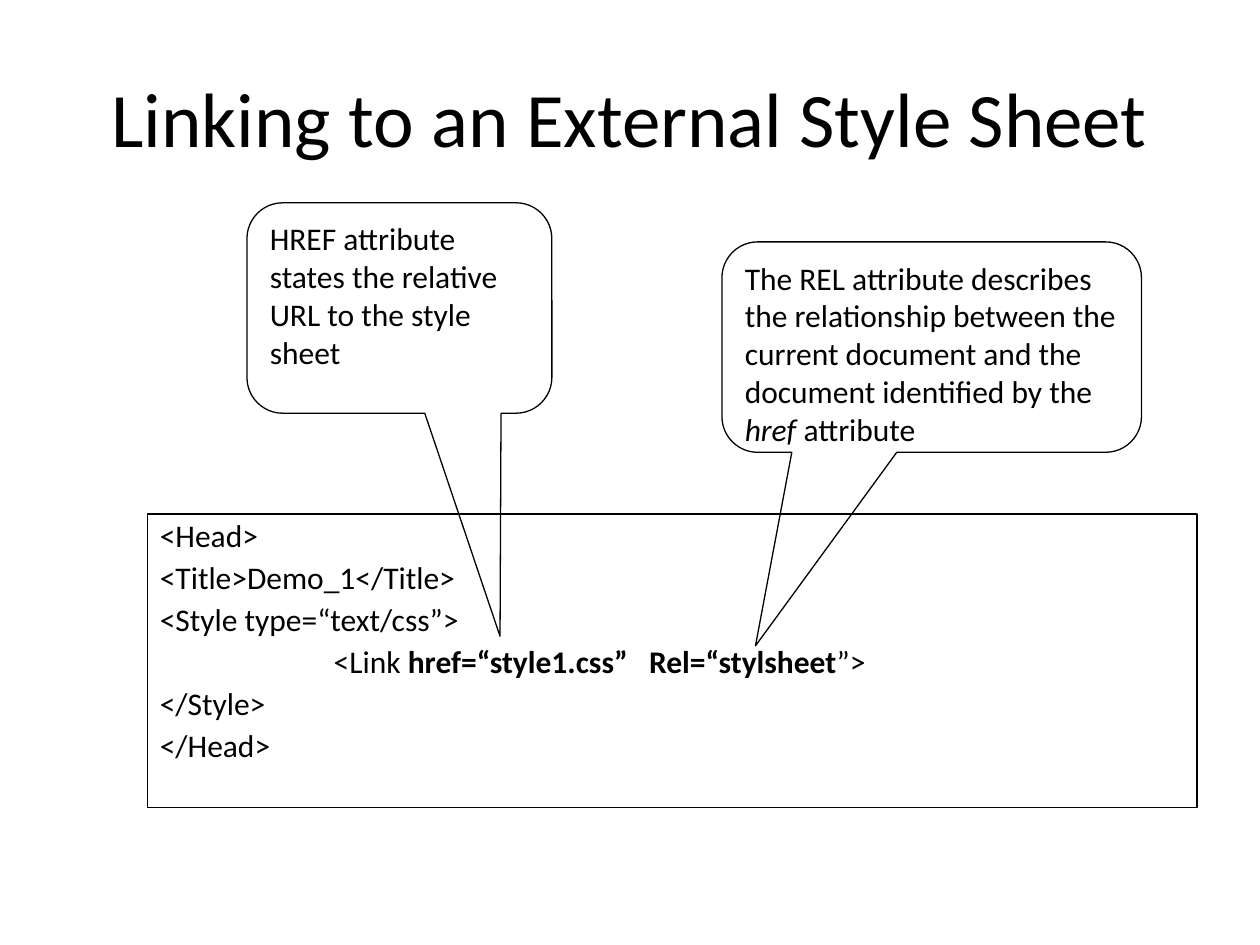
from dataclasses import dataclass

from lxml.etree import SubElement
from pptx import Presentation
from pptx.dml.color import RGBColor
from pptx.enum.shapes import MSO_SHAPE
from pptx.enum.text import MSO_ANCHOR, PP_ALIGN
from pptx.oxml.ns import qn
from pptx.util import Inches, Pt


@dataclass(frozen=True)
class Theme:
    font: str = "Calibri"
    ink: RGBColor = RGBColor(0, 0, 0)
    title_size: int = 44
    body_size: int = 18
    line_width: float = 0.75


THEME = Theme()

TITLE = "Linking to an External Style Sheet"
TITLE_PLACE = (0.5, 0.3, 9, 1.25)

CODE_PLACE = (1.17, 4.08, 8.33, 2.33)
CODE_INDENT = 0.38
CODE_LINES = [
    [("<Head>", "")],
    [("<Title>Demo_1</Title>", "")],
    [("<Style type=“text/css”>", "")],
    [("\t\t\t<Link ", ""), ("href=“style1.css”   Rel=“stylsheet", "bold"), ("”>", "")],
    [("</Style>", "")],
    [("</Head>", "")],
]

CALLOUTS = [
    {
        "place": (1.96, 1.61, 2.42, 1.67),
        "pointer": (0.33, 1.56, 0.17),
        "text": [("HREF attribute states the relative URL to the style sheet", "")],
    },
    {
        "place": (5.73, 1.92, 3.33, 1.67),
        "pointer": (-0.42, 1.42, 0.17),
        "text": [
            ("The REL attribute describes the relationship between the current "
             "document and the document identified by the ", ""),
            ("href ", "italic"),
            ("attribute", ""),
        ],
    },
]


def style_font(paragraph, size):
    paragraph.font.name = THEME.font
    paragraph.font.size = Pt(size)
    paragraph.font.color.rgb = THEME.ink


def indent_code(paragraph):
    properties = paragraph._p.get_or_add_pPr()
    properties.set("marL", str(Inches(CODE_INDENT)))
    properties.set("indent", str(-Inches(CODE_INDENT)))
    tabs = SubElement(properties, qn("a:tabLst"))
    for inch in range(8):
        SubElement(tabs, qn("a:tab"), pos=str(Inches(inch)), algn="l")


def add_outlined_shape(page, kind, place):
    shape = page.shapes.add_shape(kind, *map(Inches, place))
    shape.shadow.inherit = False
    shape.fill.background()
    shape.line.color.rgb = THEME.ink
    shape.line.width = Pt(THEME.line_width)
    shape.text_frame.word_wrap = True
    shape.text_frame.vertical_anchor = MSO_ANCHOR.TOP
    return shape


def write_spans(paragraph, spans):
    paragraph.alignment = PP_ALIGN.LEFT
    style_font(paragraph, THEME.body_size)
    for text, emphasis in spans:
        span = paragraph.add_run()
        span.text = text
        span.font.color.rgb = THEME.ink
        if emphasis:
            setattr(span.font, emphasis, True)


def add_title(page):
    title = page.shapes.title
    title.left, title.top, title.width, title.height = map(Inches, TITLE_PLACE)
    title.text_frame.text = TITLE
    title.text_frame.vertical_anchor = MSO_ANCHOR.MIDDLE
    paragraph = title.text_frame.paragraphs[0]
    paragraph.alignment = PP_ALIGN.CENTER
    style_font(paragraph, THEME.title_size)


def add_code(page):
    frame = add_outlined_shape(page, MSO_SHAPE.RECTANGLE, CODE_PLACE).text_frame
    for index, spans in enumerate(CODE_LINES):
        paragraph = frame.add_paragraph() if index else frame.paragraphs[0]
        indent_code(paragraph)
        paragraph.line_spacing = 0.9
        paragraph.space_before = Pt(4.5 if index else 0)
        write_spans(paragraph, spans)


def add_callout(page, callout):
    shape = add_outlined_shape(page, MSO_SHAPE.ROUNDED_RECTANGULAR_CALLOUT, callout["place"])
    for index, value in enumerate(callout["pointer"]):
        shape.adjustments[index] = value
    write_spans(shape.text_frame.paragraphs[0], callout["text"])


def main():
    deck = Presentation()
    deck.slide_width, deck.slide_height = Inches(10), Inches(7.5)
    page = deck.slides.add_slide(deck.slide_layouts[5])
    add_title(page)
    add_code(page)
    for callout in CALLOUTS:
        add_callout(page, callout)
    deck.save("out.pptx")


if __name__ == "__main__":
    main()
